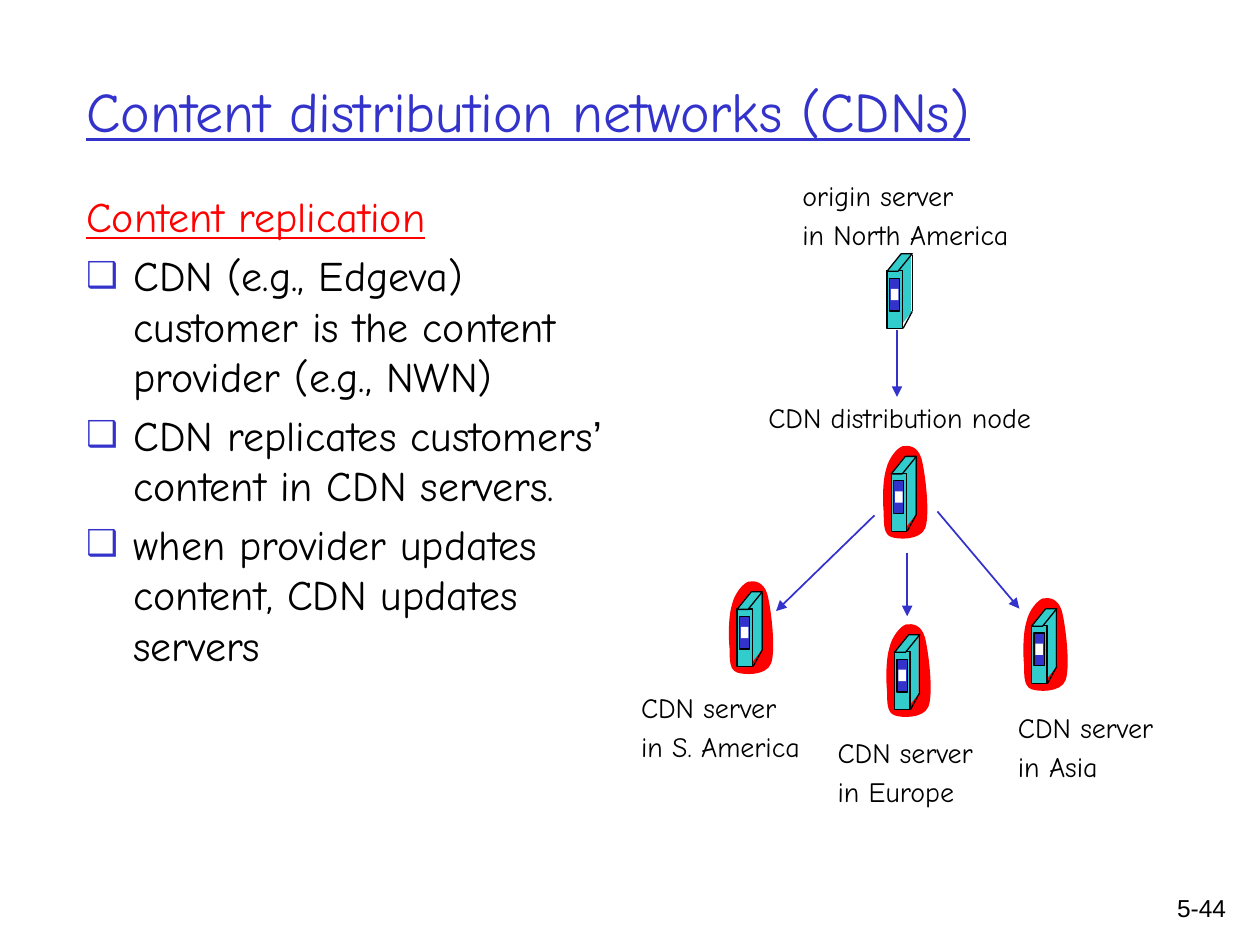
from lxml.etree import SubElement
from pptx import Presentation
from pptx.dml.color import RGBColor
from pptx.enum.shapes import MSO_CONNECTOR, MSO_SHAPE
from pptx.enum.text import MSO_ANCHOR, MSO_AUTO_SIZE, PP_ALIGN
from pptx.oxml.ns import qn
from pptx.util import Pt

COLORS = {"blue": "3333CC", "red": "FF0000", "teal": "33CCCC",
          "black": "000000", "white": "FFFFFF"}

# Closed Bezier outline around a server, relative to the server's top left:
# the start, then two control points and an end for each curve
HALO = [
    (-2.9, 7.2),
    (-1.4, 0.7), (3.6, -5), (6.5, -5.8),
    (10.1, -6.5), (15.1, -5.8), (17.3, 1.4),
    (19.4, 9.4), (22.3, 33.1), (19.4, 41),
    (16.6, 48.2), (3.6, 47.5), (0, 46.1),
    (-4.3, 44.6), (-4.3, 38.9), (-4.3, 32.4),
    (-5, 25.9), (-5, 13.7), (-2.9, 7.2),
]

CDN_SERVERS = [(421.2, 338.2), (511.2, 362.7), (589.5, 347.8), (509.3, 260.8)]

LABELS = [
    (451.4, 98.6, 144, ["origin server", "in North America"]),
    (432, 225.4, 181, ["CDN distribution node"]),
    (359.3, 391, 114, ["CDN server", "in S. America"]),
    (471.6, 416.9, 102, ["CDN server", "in Europe"]),
    (574.6, 402.5, 102, ["CDN server", "in Asia"]),
]

ARROWS = [
    ((512.6, 188.6), (512.6, 226.8)),
    ((499.7, 294.5), (443.5, 349.2)),
    ((518.4, 316.1), (518.4, 352.1)),
    ((535.7, 292.3), (582.5, 347.8)),
]

BULLETS = [
    ["CDN (e.g., Edgeva) customer is the content provider (e.g., NWN)"],
    ["CDN replicates customers", "’", " content in CDN servers."],
    ["when provider updates content, CDN updates servers"],
]


def rgb(name):
    return RGBColor.from_string(COLORS[name])


def add_run(p, text, size=16, color="black", font="Comic Neue", underline=False):
    r = p.add_run()
    r.text = text
    r.font.size = Pt(size)
    r.font.name = font
    r.font.color.rgb = rgb(color)
    r.font.underline = underline


def bend(sp):
    """Turn every three line segments of a freeform into one Bezier curve."""
    path = next(sp._element.iter(qn("a:path")))
    segments = path.findall(qn("a:lnTo"))
    for i in range(0, len(segments), 3):
        curve = SubElement(path, qn("a:cubicBezTo"))
        for segment in segments[i:i + 3]:
            curve.append(segment[0])
            path.remove(segment)
    path.append(path.find(qn("a:close")))


class Deck:
    def __init__(self, prs):
        self.s = prs.slides.add_slide(prs.slide_layouts[1])

    def place(self, sp, x, y, w, h):
        sp.left, sp.top, sp.width, sp.height = Pt(x), Pt(y), Pt(w), Pt(h)
        sp.text_frame.auto_size = MSO_AUTO_SIZE.NONE
        return sp.text_frame

    def title(self, text, *box):
        tf = self.place(self.s.shapes.title, *box)
        tf.vertical_anchor = MSO_ANCHOR.MIDDLE
        tf.paragraphs[0].alignment = PP_ALIGN.LEFT
        add_run(tf.paragraphs[0], text, size=32, color="blue", underline=True)

    def body(self, heading, bullets, *box):
        tf = self.place(self.s.placeholders[1], *box)
        p = tf.paragraphs[0]
        self.list_format(p)
        add_run(p, heading, size=24, color="red", underline=True)
        for texts in bullets:
            p = tf.add_paragraph()
            self.list_format(p, "❑")
            for text in texts:
                add_run(p, text, size=24, font="Arial" if text == "’" else "Comic Neue")

    def list_format(self, p, bullet=None):
        p.space_before = Pt(4.8)
        pPr = p._p.get_or_add_pPr()
        pPr.set("marL", str(Pt(27)))
        pPr.set("indent", str(-Pt(27)))
        if bullet is None:
            SubElement(pPr, qn("a:buNone"))
            return
        SubElement(SubElement(pPr, qn("a:buClr")), qn("a:srgbClr"), val=COLORS["blue"])
        SubElement(pPr, qn("a:buSzPct"), val="85000")
        SubElement(pPr, qn("a:buChar"), char=bullet)

    def text(self, lines, x, y, w, h, wrap=False, align=PP_ALIGN.LEFT, **fmt):
        tf = self.s.shapes.add_textbox(Pt(x), Pt(y), Pt(w), Pt(h)).text_frame
        tf.word_wrap = wrap
        for i, line in enumerate(lines):
            p = tf.add_paragraph() if i else tf.paragraphs[0]
            p.alignment = align
            p.space_before = Pt(3.2)
            add_run(p, line, **fmt)

    def paint(self, sp, fill, outlined=False):
        sp.shadow.inherit = False
        sp.fill.solid()
        sp.fill.fore_color.rgb = rgb(fill)
        if outlined:
            sp.line.color.rgb = rgb("black")
            sp.line.width = Pt(0.75)
        else:
            sp.line.fill.background()

    def line(self, start, end, color="black", width=0.75, arrow=False, parent=None):
        shapes = (parent or self.s).shapes
        cx = shapes.add_connector(MSO_CONNECTOR.STRAIGHT, *map(Pt, start + end))
        cx.line.color.rgb = rgb(color)
        cx.line.width = Pt(width)
        if arrow:
            SubElement(cx.get_or_add_ln(), qn("a:tailEnd"), type="triangle")
        SubElement(cx._element.spPr, qn("a:effectLst"))

    def server(self, x, y, halo=False):
        group = self.s.shapes.add_group_shape()

        def part(kind, dx, dy, w, h, fill, outlined=False):
            sp = group.shapes.add_shape(kind, Pt(x + dx), Pt(y + dy), Pt(w), Pt(h))
            if kind == MSO_SHAPE.PARALLELOGRAM:
                sp.adjustments[0] = 0.81
            self.paint(sp, fill, outlined)

        if halo:
            start, *points = [(Pt(x + dx), Pt(y + dy)) for dx, dy in HALO]
            outline = group.shapes.build_freeform(*start)
            outline.add_line_segments(points)
            sp = outline.convert_to_shape()
            bend(sp)
            self.paint(sp, "red")

        part(MSO_SHAPE.PARALLELOGRAM, 0, 33, 14.4, 10, "teal")
        part(MSO_SHAPE.RECTANGLE, 7.2, 0.5, 6.5, 33, "teal")
        part(MSO_SHAPE.RECTANGLE, 0, 9.8, 8.8, 33, "teal", True)
        part(MSO_SHAPE.PARALLELOGRAM, 0, 0, 14.4, 10, "teal", True)
        corner = (x + 14.4, y + 33)
        self.line((x + 14.4, y + 0.5), corner, parent=group)
        self.line(corner, (x + 9.2, y + 42.6), parent=group)
        part(MSO_SHAPE.RECTANGLE, 1.4, 14, 5.8, 18.7, "blue", True)
        part(MSO_SHAPE.RECTANGLE, 2.2, 20, 4.3, 6.5, "white")


def main():
    prs = Presentation()
    prs.slide_width, prs.slide_height = Pt(720), Pt(540)
    deck = Deck(prs)
    deck.text(["5-44"], 654.5, 506.9, 53.3, 36, wrap=True, align=PP_ALIGN.RIGHT,
              size=14, font="Arial")
    deck.title("Content distribution networks (CDNs)", 42, 18, 632, 90)
    deck.body("Content replication", BULLETS, 42, 105.5, 320.4, 386.6)
    deck.server(506.9, 145)
    for x, y in CDN_SERVERS:
        deck.server(x, y, halo=True)
    for x, y, w, lines in LABELS:
        deck.text(lines, x, y, w, 3.6 + 23 * len(lines))
    for start, end in ARROWS:
        deck.line(start, end, color="blue", width=1, arrow=True)
    prs.save("out.pptx")


if __name__ == "__main__":
    main()
